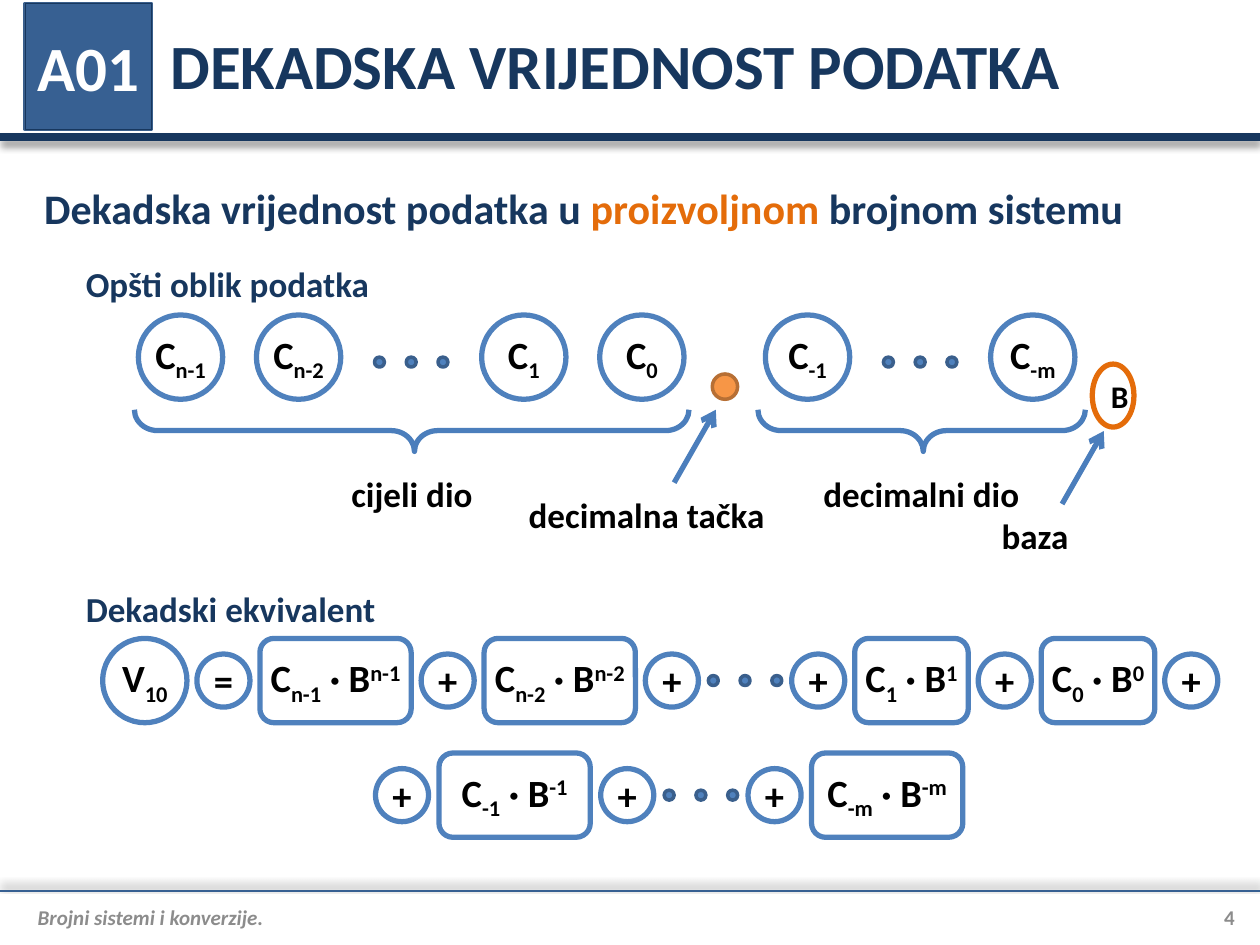
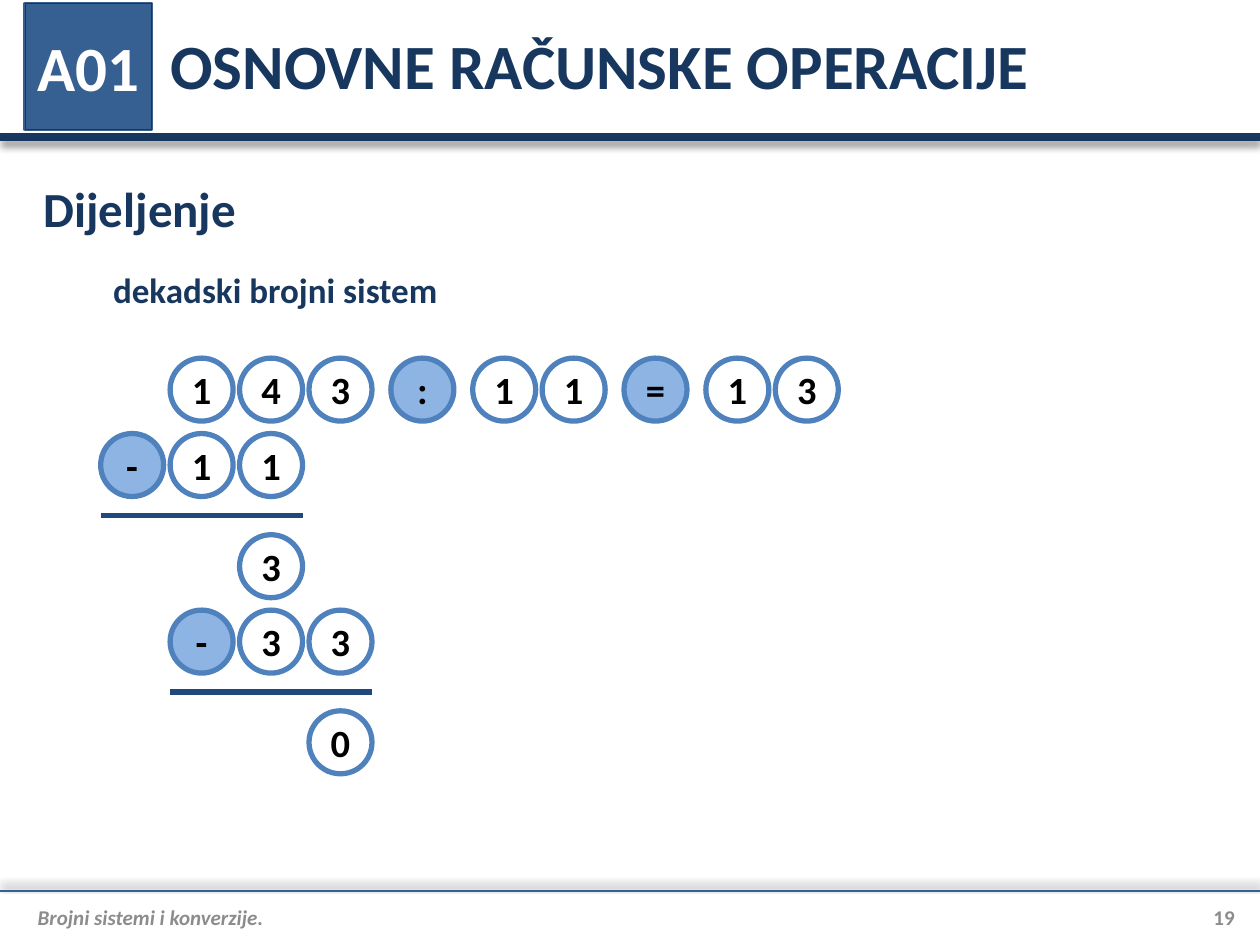
from lxml.etree import SubElement
from pptx import Presentation
from pptx.dml.color import RGBColor
from pptx.enum.shapes import MSO_CONNECTOR as Link, MSO_SHAPE as Shape
from pptx.enum.text import MSO_ANCHOR as Anchor, MSO_AUTO_SIZE as AutoSize, PP_ALIGN as Align
from pptx.oxml.ns import qn
from pptx.util import Cm, Pt

FONT = "Calibri"
COLORS = {
    "navy": "17375E", "steel": "376092", "blue": "4F81BD", "dark_blue": "3A5F8C",
    "arrow": "4B7EBC", "rule": "1F497D", "pale": "8EB4E3", "orange": "E46C0A",
    "point": "F79646", "point_edge": "B76F34", "gray": "8C8C8C",
    "black": "000000", "white": "FFFFFF",
}
PALETTE = {name: RGBColor.from_string(code) for name, code in COLORS.items()}
NO_INSETS = (0, 0, 0, 0)


def add_box(page, kind, place, runs=(), size=22, color="black", align=Align.CENTER,
            fill=None, line="blue", line_width=3, insets=NO_INSETS, italic=False):
    """Add a text box (kind None) or preset shape; a run is (text, baseline, colour)."""
    lengths = [Cm(value) for value in place]
    if kind is None:
        box = page.shapes.add_textbox(*lengths)
    else:
        box = page.shapes.add_shape(kind, *lengths)
        box.shadow.inherit = False
        box.line.color.rgb = PALETTE[line]
        box.line.width = Pt(line_width)
        if fill:
            box.fill.solid()
            box.fill.fore_color.rgb = PALETTE[fill]
        else:
            box.fill.background()
    frame = box.text_frame
    frame.word_wrap = True
    frame.vertical_anchor = Anchor.MIDDLE
    if insets:
        (frame.margin_left, frame.margin_top,
         frame.margin_right, frame.margin_bottom) = [Cm(value) for value in insets]
    para = frame.paragraphs[0]
    para.alignment = align
    for text, baseline, run_color in runs:
        span = para.add_run()
        span.text = text
        span.font.name = FONT
        span.font.size = Pt(size)
        span.font.bold = True
        span.font.italic = italic
        span.font.color.rgb = PALETTE[run_color or color]
        if baseline:
            span.font._element.set("baseline", str(baseline * 1000))
    return box


def add_line(page, start, end, color, width, arrow=False, shadow_angle=None):
    """Add a straight line, with an arrowhead or a soft shadow if asked for."""
    line = page.shapes.add_connector(Link.STRAIGHT, *[Cm(value) for value in start + end])
    line.line.color.rgb = PALETTE[color]
    line.line.width = Pt(width)
    if arrow:
        SubElement(line.line._get_or_add_ln(), qn("a:tailEnd"), type="arrow")
    effects = SubElement(line._element.spPr, qn("a:effectLst"))
    if shadow_angle is not None:
        shadow = SubElement(effects, qn("a:outerShdw"), blurRad=str(Pt(4)), dist=str(Pt(3)),
                            dir=str(shadow_angle * 60000), rotWithShape="0")
        tint = SubElement(shadow, qn("a:srgbClr"), val=COLORS["black"])
        SubElement(tint, qn("a:alpha"), val="40000")


deck = Presentation()
deck.slide_width, deck.slide_height = Cm(25.4), Cm(19.05)

# Shared frame: title, bands, badge and footer
BADGE = (0.51, 0.07, 2.54, 2.54)
pages = []
for title_text, number in [("DEKADSKA VRIJEDNOST PODATKA", "4"),
                           ("OSNOVNE RAČUNSKE OPERACIJE", "19")]:
    page = deck.slides.add_slide(deck.slide_layouts[5])
    pages.append(page)
    add_line(page, (0, 2.77), (25.4, 2.77), "navy", 4.5, shadow_angle=90)
    add_line(page, (0, 17.96), (25.4, 17.96), "steel", 1.5, shadow_angle=270)

    title = page.shapes.title
    title.left, title.top, title.width, title.height = Cm(3.18), Cm(0.03), Cm(21.72), Cm(2.54)
    title.text_frame.auto_size = AutoSize.NONE
    title.text_frame.vertical_anchor = Anchor.MIDDLE
    para = title.text_frame.paragraphs[0]
    para.alignment = Align.LEFT
    span = para.add_run()
    span.text = title_text
    span.font.name = FONT
    span.font.size = Pt(36)
    span.font.bold = True
    span.font.color.rgb = PALETTE["navy"]

    # The wider edge of the square behind the badge frames it
    add_box(page, Shape.RECTANGLE, BADGE, fill="blue", line="dark_blue", line_width=2)
    badge = add_box(page, Shape.RECTANGLE, BADGE, [("A01", 0, None)], 36,
                    "white", fill="steel", line="navy", line_width=0.75)
    badge.text_frame.paragraphs[0].space_before = Pt(7)
    add_box(page, None, (0.51, 18.05, 23.11, 0.89), [("Brojni sistemi i konverzije.", 0, None)],
            12, "gray", Align.LEFT, insets=(0.25, 0, 0, 0), italic=True)
    add_box(page, None, (23.62, 18.05, 1.27, 0.89), [(number, 0, None)], 12, "gray", Align.RIGHT)

value_page, division_page = pages

# Headings of both slides
headings = [
    (value_page, (0.64, 3.56, 24.13, 1.27), 24,
     [("Dekadska vrijednost podatka u ", 0, None), ("proizvoljnom", 0, "orange"),
      (" brojnom sistemu", 0, None)]),
    (value_page, (1.48, 5.08, 11.18, 1.27), 20, [("Opšti oblik podatka", 0, None)]),
    (value_page, (1.48, 11.64, 11.18, 1.27), 20, [("Dekadski ekvivalent", 0, None)]),
    (division_page, (0.63, 3.56, 23.93, 1.27), 28, [("Dijeljenje", 0, None)]),
    (division_page, (2.03, 5.21, 9.83, 1.27), 20, [("dekadski brojni sistem", 0, None)]),
]
for page, place, size, runs in headings:
    add_box(page, None, place, runs, size, "navy", Align.LEFT, insets=None)

# Digits and terms, each row laid out from left to right with equal gaps
ITEM, SIGN, DOT, DOT_STEP = 1.7, 1.07, 0.2, 0.64
DOTS = ("dots", "", "")
PLUS = ("sign", "+", "")
# left, middle, gap, drop of the dots, items
rows = [
    (2.79, 7.2, 0.68, 0.1,
     [("circle", "C", "n-1"), ("circle", "C", "n-2"), DOTS,
      ("circle", "C", "1"), ("circle", "C", "0")]),
    (15.43, 7.2, 0.68, 0.1, [("circle", "C", "-1"), DOTS, ("circle", "C", "-m")]),
    (2.07, 13.72, 0.2, 0,
     [("circle", "V", "10"), ("sign", "=", ""), ("term", "C", "n-1"), PLUS,
      ("term", "C", "n-2"), PLUS, DOTS, PLUS, ("term", "C", "1"), PLUS,
      ("term", "C", "0"), PLUS]),
    (7.57, 16.03, 0.21, 0,
     [PLUS, ("term", "C", "-1"), PLUS, DOTS, PLUS, ("term", "C", "-m")]),
]
for left, middle, gap, dot_drop, items in rows:
    for kind, letter, index in items:
        if kind == "dots":
            width = 2 * DOT_STEP + DOT
            for step in range(3):
                add_box(value_page, Shape.OVAL,
                        (left + step * DOT_STEP, middle + dot_drop - DOT / 2, DOT, DOT),
                        fill="blue", line="dark_blue", line_width=2)
        else:
            outline, width, height = Shape.OVAL, ITEM, ITEM
            runs = [(letter, 0, None)]
            if index:
                runs.append((index, -25, None))
            if kind == "sign":
                width = height = SIGN
            elif kind == "term":
                outline = Shape.FLOWCHART_ALTERNATE_PROCESS
                width = 2.29 if len(index) == 1 else 3.05
                runs += [(" · B", 0, None), (index, 30, None)]
            add_box(value_page, outline, (left, middle - height / 2, width, height), runs)
        left += width + gap

# Decimal point and base
add_box(value_page, Shape.OVAL, (14.36, 7.54, 0.51, 0.51),
        fill="point", line="point_edge", line_width=2)
add_box(value_page, Shape.OVAL, (22.02, 7.34, 0.84, 1.27), [("B", 0, None)], 18,
        line="orange", insets=None)

# Braces under the whole and the decimal part
for left, top, height in [(7.88, 3.09, 11.18), (18.16, 5.38, 6.6)]:
    brace = add_box(value_page, Shape.LEFT_BRACE, (left, top, 0.84, height), line="arrow")
    brace.rotation = 270
    brace.adjustments[0], brace.adjustments[1] = 0.56, 50.5 / 100

# Captions and their arrows
for text, left, top, width in [("cijeli dio", 6.63, 9.32, 3.35),
                               ("decimalni dio", 16.16, 9.32, 4.83),
                               ("decimalna tačka", 10.15, 9.73, 5.77),
                               ("baza", 19.25, 10.16, 3.23)]:
    add_box(value_page, None, (left, top, width, 1.27), [(text, 0, None)], 20, insets=None)
for left, top in [(13.59, 9.73), (21.41, 10.16)]:
    add_line(value_page, (left, top), (left + 0.84, top - 1.47), "arrow", 3, arrow=True)

# Long division: top, first column, characters
GRID_LEFT, PITCH, DIGIT, SIGN_SPACE = 2.03, 1.4, 1.27, 0.25
for top, column, characters in [(7.22, 1, "143:11=13"), (8.74, 0, "-11"), (10.78, 2, "3"),
                                (12.3, 1, "-33"), (14.33, 3, "0")]:
    left = GRID_LEFT + column * PITCH
    for character in characters:
        space = SIGN_SPACE if character in ":=" else 0
        left += space
        add_box(division_page, Shape.OVAL, (left, top, DIGIT, DIGIT), [(character, 0, None)],
                fill="white" if character.isdigit() else "pale")
        left += PITCH + space

# Rules under the subtractions
for column, top in [(0, 10.39), (1, 13.95)]:
    left = GRID_LEFT + column * PITCH
    add_line(division_page, (left, top), (left + 2 * PITCH + DIGIT, top), "rule", 3)

deck.save("out.pptx")
